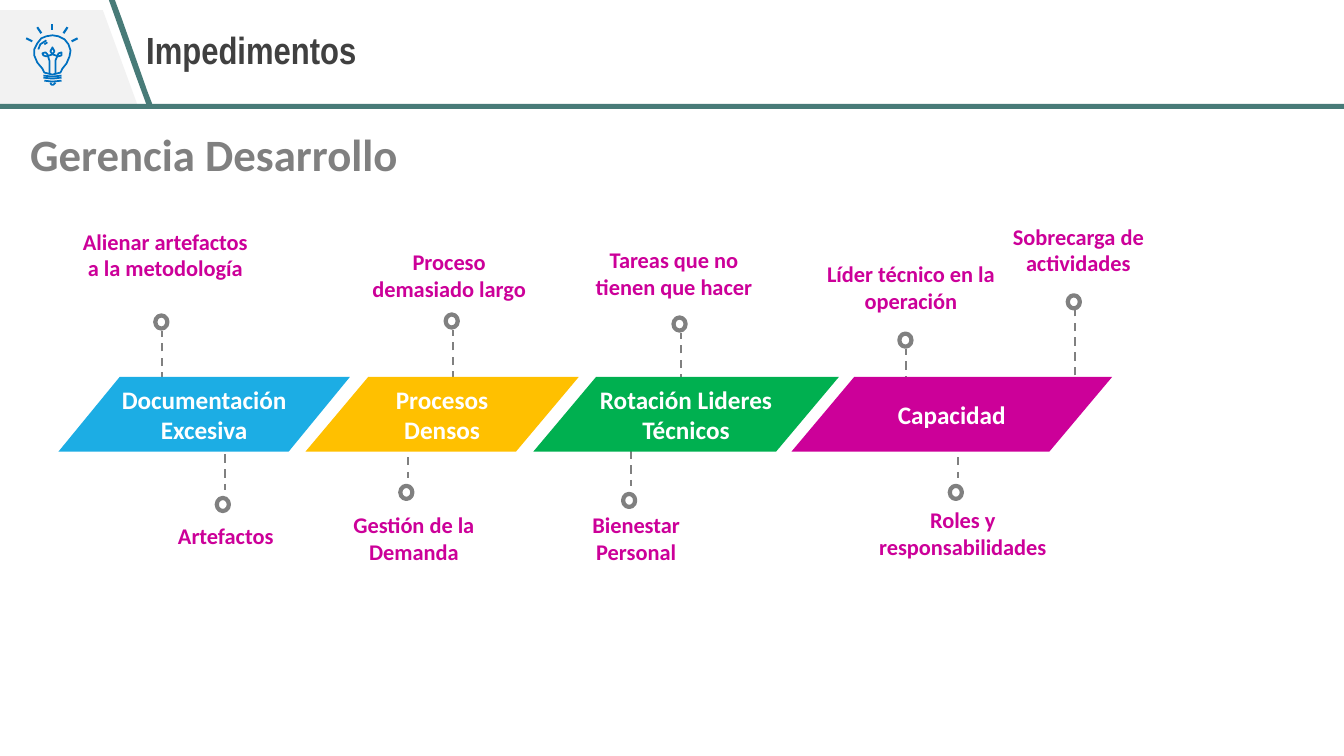
from lxml.etree import SubElement
from pptx import Presentation
from pptx.dml.color import RGBColor
from pptx.enum.dml import MSO_LINE
from pptx.enum.shapes import MSO_CONNECTOR, MSO_SHAPE
from pptx.enum.text import MSO_ANCHOR, MSO_AUTO_SIZE, PP_ALIGN
from pptx.oxml.ns import qn
from pptx.util import Inches, Pt

COLORS = {
    "panel": "F2F2F2", "teal": "487B78", "icon": "0070C0", "gray": "808080",
    "title": "404040", "white": "FFFFFF", "blue": "1CADE4",
    "amber": "FFC000", "green": "00B050", "magenta": "CC0099",
}
COLORS = {name: RGBColor.from_string(value) for name, value in COLORS.items()}

presentation = Presentation()
presentation.slide_width = Inches(13.33)
presentation.slide_height = Inches(7.5)
slide = presentation.slides.add_slide(presentation.slide_layouts[5])
shapes = slide.shapes


def add_outline(points, color, filled=True):
    """Draw a filled polygon, or an open stroke when filled is False."""
    points = [(Inches(x), Inches(y)) for x, y in points]
    builder = shapes.build_freeform(*points[0])
    builder.add_line_segments(points[1:], close=filled)
    shape = builder.convert_to_shape()
    shape.shadow.inherit = False
    if filled:
        shape.fill.solid()
        shape.fill.fore_color.rgb = COLORS[color]
        shape.line.fill.background()
    else:
        shape.fill.background()
        shape.line.color.rgb = COLORS[color]
        shape.line.width = Pt(1.25)


def write(shape, text, size, color, align=PP_ALIGN.CENTER, font="Calibri"):
    """Put one bold run in a shape."""
    paragraph = shape.text_frame.paragraphs[0]
    paragraph.alignment = align
    run = paragraph.add_run()
    run.text = text
    run.font.name = font
    run.font.size = Pt(size)
    run.font.bold = True
    run.font.color.rgb = COLORS[color]


# Header band
add_outline([(0, 0.1), (1.02, 0.1), (1.36, 1.03), (0, 1.03)], "panel")
rule = shapes.add_shape(MSO_SHAPE.RECTANGLE, 0, Inches(1.03), Inches(13.33), Inches(0.05))
rule.shadow.inherit = False
rule.fill.solid()
rule.fill.fore_color.rgb = COLORS["teal"]
rule.line.fill.background()
add_outline([(1.08, 0), (1.14, 0), (1.21, 0.19), (1.46, 0.9), (1.51, 1.03),
             (1.45, 1.03), (1.34, 0.73)], "teal")

# Light bulb: glass, highlights, filaments and screw base
bulb_strokes = [
    [(0.44, 0.72), (0.42, 0.68), (0.37, 0.62), (0.34, 0.55), (0.34, 0.49), (0.37, 0.43),
     (0.41, 0.38), (0.46, 0.36), (0.52, 0.35), (0.58, 0.36), (0.64, 0.39), (0.68, 0.44),
     (0.7, 0.5), (0.69, 0.56), (0.66, 0.63), (0.62, 0.68), (0.6, 0.72), (0.52, 0.74),
     (0.44, 0.72)],
    [(0.38, 0.49), (0.4, 0.44), (0.46, 0.4)],
    [(0.44, 0.44), (0.47, 0.42)],
    [(0.49, 0.73), (0.49, 0.6), (0.47, 0.54), (0.45, 0.52), (0.42, 0.53), (0.43, 0.55),
     (0.46, 0.56), (0.52, 0.54), (0.54, 0.51), (0.52, 0.47), (0.5, 0.51), (0.52, 0.54),
     (0.58, 0.56), (0.61, 0.55), (0.61, 0.52), (0.58, 0.53), (0.55, 0.6), (0.55, 0.73)],
    [(0.43, 0.75), (0.52, 0.76), (0.61, 0.75)],
    [(0.43, 0.77), (0.52, 0.78), (0.61, 0.77)],
    [(0.44, 0.8), (0.52, 0.81), (0.61, 0.8)],
    [(0.5, 0.82), (0.51, 0.84), (0.53, 0.84), (0.55, 0.82)],
]
for stroke in bulb_strokes:
    add_outline(stroke, "icon", filled=False)

# Straight lines: start, end, colour, width, dashed
rays = [
    (0.26, 0.38, 0.32, 0.41), (0.37, 0.27, 0.41, 0.33), (0.52, 0.24, 0.52, 0.3),
    (0.67, 0.27, 0.63, 0.33), (0.77, 0.38, 0.71, 0.41),
]
lines = [(ray, "icon", 1.5, False) for ray in rays]

# Causes: stem x, stem end next to the ring, ring offset, text, text box
ABOVE, BELOW = (-0.07, -0.15), (-0.08, 0.08)
causes = [
    (10.66, 3.08, ABOVE, "Sobrecarga de actividades", (9.7, 2.16, 1.99, 0.64)),
    (9.5, 4.74, BELOW, "Roles y responsabilidades", (8.57, 4.97, 1.96, 0.64)),
    (6.26, 4.82, BELOW, "Bienestar Personal", (5.41, 5.02, 1.8, 0.64)),
    (6.75, 3.3, ABOVE, "Tareas que no tienen que hacer", (5.67, 2.39, 2.03, 0.64)),
    (2.23, 4.86, BELOW, "Artefactos", (1.66, 5.13, 1.16, 0.37)),
    (4.05, 4.74, BELOW, "Gestión de la Demanda", (3.37, 5.02, 1.47, 0.64)),
    (4.49, 3.27, ABOVE, "Proceso demasiado largo", (3.59, 2.41, 1.73, 0.64)),
    (1.61, 3.28, ABOVE, "Alienar artefactos a la metodología", (0.72, 2.21, 1.84, 0.91)),
    (8.99, 3.46, ABOVE, "Líder técnico en la operación", (8.04, 2.53, 1.99, 0.64)),
]
for x, end, side, text, box in causes:
    start = end + 0.79 if side == ABOVE else end - 0.79
    lines.append(((x, start, x, end), "gray", 1.5, True))

    ring = shapes.add_shape(MSO_SHAPE.OVAL, Inches(x + side[0]), Inches(end + side[1]),
                            Inches(0.12), Inches(0.13))
    ring.shadow.inherit = False
    ring.fill.background()
    ring.line.color.rgb = COLORS["gray"]
    ring.line.width = Pt(3)

    caption = shapes.add_textbox(*map(Inches, box))
    caption.text_frame.word_wrap = " " in text
    write(caption, text, 16, "magenta")

for ends, color, width, dashed in lines:
    connector = shapes.add_connector(MSO_CONNECTOR.STRAIGHT, *map(Inches, ends))
    connector.line.color.rgb = COLORS[color]
    connector.line.width = Pt(width)
    if dashed:
        connector.line.dash_style = MSO_LINE.DASH
    SubElement(connector.element.spPr, qn("a:effectLst"))

# Row of impediments: left, width, slant, colour, text
impediments = [
    (0.58, 2.89, 0.82, "blue", "Documentación Excesiva"),
    (3.03, 2.71, 0.84, "amber", "Procesos Densos"),
    (5.29, 3.03, 0.84, "green", "Rotación Lideres Técnicos"),
    (7.85, 3.18, 0.84, "magenta", "Capacidad"),
]
for left, width, slant, color, text in impediments:
    impediment = shapes.add_shape(MSO_SHAPE.PARALLELOGRAM, Inches(left), Inches(3.74),
                                  Inches(width), Inches(0.74))
    impediment.adjustments[0] = slant
    impediment.shadow.inherit = False
    impediment.fill.solid()
    impediment.fill.fore_color.rgb = COLORS[color]
    impediment.line.fill.background()
    impediment.text_frame.vertical_anchor = MSO_ANCHOR.MIDDLE
    write(impediment, text, 18, "white")

# Title and subtitle
title = shapes.title
title.left, title.top, title.width, title.height = map(Inches, (1.27, 0, 9.27, 1.03))
title.text_frame.auto_size = MSO_AUTO_SIZE.NONE
title.text_frame.vertical_anchor = MSO_ANCHOR.MIDDLE
title.text_frame.margin_left = Inches(0.18)
title.text_frame.paragraphs[0].line_spacing = 0.9
write(title, "Impedimentos", 27, "title", PP_ALIGN.LEFT, "Arial Narrow")

subtitle = shapes.add_textbox(*map(Inches, (0.2, 1.21, 3.88, 0.64)))
subtitle.text_frame.word_wrap = False
write(subtitle, "Gerencia Desarrollo", 32, "gray", PP_ALIGN.LEFT)

presentation.save("out.pptx")
